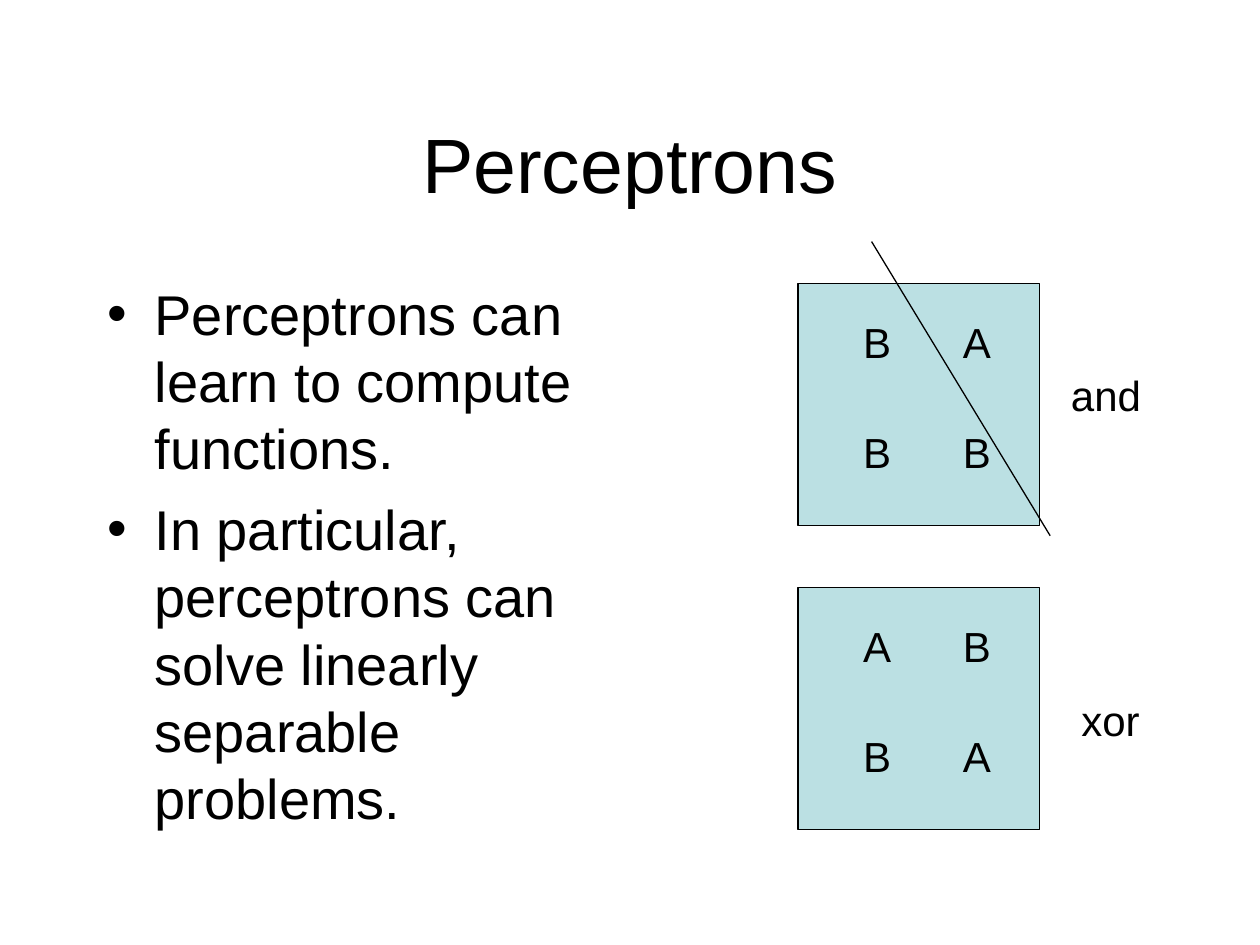
import pptx
import pptx.util
import pptx.oxml
import pptx.dml.color
import pptx.enum.shapes
import pptx.enum.text
from dataclasses import dataclass
from pptx.util import Cm


@dataclass(frozen=True)
class Theme:
    font: str = "Arial"
    ink: str = "000000"
    panel: str = "BBE0E3"
    title_size: int = 44
    body_size: int = 32
    label_size: int = 24
    line_width: float = 0.75


theme = Theme()
ink = pptx.dml.color.RGBColor.from_string(theme.ink)


def format_text(text_frame, size):
    for paragraph in text_frame.paragraphs:
        for run in paragraph.runs:
            run.font.name = theme.font
            run.font.size = pptx.util.Pt(size)
            run.font.color.rgb = ink


def add_label(text, left, top, width):
    box = slide.shapes.add_textbox(Cm(left), Cm(top), Cm(width), Cm(1.27))
    box.text_frame.word_wrap = False
    box.text_frame.auto_size = pptx.enum.text.MSO_AUTO_SIZE.SHAPE_TO_FIT_TEXT
    box.text_frame.text = text
    format_text(box.text_frame, theme.label_size)


presentation = pptx.Presentation()
presentation.slide_width, presentation.slide_height = Cm(25.4), Cm(19.05)
slide = presentation.slides.add_slide(presentation.slide_layouts[1])

title = slide.shapes.title
title.left, title.top, title.width, title.height = Cm(1.9), Cm(1.69), Cm(21.6), Cm(3.18)
title.text_frame.text = "Perceptrons"
title.text_frame.vertical_anchor = pptx.enum.text.MSO_ANCHOR.MIDDLE
title.text_frame.paragraphs[0].alignment = pptx.enum.text.PP_ALIGN.CENTER
format_text(title.text_frame, theme.title_size)

# The layout supplies the bullets and the hanging indent.
body = slide.placeholders[1]
body.left, body.top, body.width, body.height = Cm(1.91), Cm(5.5), Cm(11.43), Cm(11.43)
body.text_frame.text = (
    "Perceptrons can learn to compute functions.\n"
    "In particular, perceptrons can solve linearly separable problems."
)
body.text_frame.auto_size = pptx.enum.text.MSO_AUTO_SIZE.NONE
for paragraph in body.text_frame.paragraphs:
    paragraph.space_before = pptx.util.Pt(8)
    paragraph.line_spacing = 1.0
format_text(body.text_frame, theme.body_size)

# Each panel: top, rows of class letters, then its name with left, top and width
panel_left, panel_side = 16.09, 4.87
panels = [
    (5.72, ["BA", "BB"], ("and", 21.34, 7.32, 1.96)),
    (11.85, ["AB", "BA"], ("xor", 21.55, 13.87, 1.72)),
]
for panel_top, rows, name_label in panels:
    panel = slide.shapes.add_shape(
        pptx.enum.shapes.MSO_SHAPE.RECTANGLE,
        Cm(panel_left), Cm(panel_top), Cm(panel_side), Cm(panel_side),
    )
    panel.shadow.inherit = False
    panel.fill.solid()
    panel.fill.fore_color.rgb = pptx.dml.color.RGBColor.from_string(theme.panel)
    panel.line.color.rgb = ink
    panel.line.width = pptx.util.Pt(theme.line_width)
    for row, letters in enumerate(rows):
        for column, letter in enumerate(letters):
            add_label(letter, panel_left + 1.06 + 2.01 * column,
                      panel_top + 0.54 + 2.21 * row, 1.06)
    add_label(*name_label)

boundary = slide.shapes.add_connector(
    pptx.enum.shapes.MSO_CONNECTOR.STRAIGHT, Cm(17.57), Cm(4.87), Cm(21.17), Cm(10.8)
)
boundary.line.color.rgb = ink
boundary.line.width = pptx.util.Pt(theme.line_width)
boundary._element.spPr.append(pptx.oxml.parse_xml(
    '<a:effectLst xmlns:a="http://schemas.openxmlformats.org/drawingml/2006/main"/>'
))

presentation.save("out.pptx")
